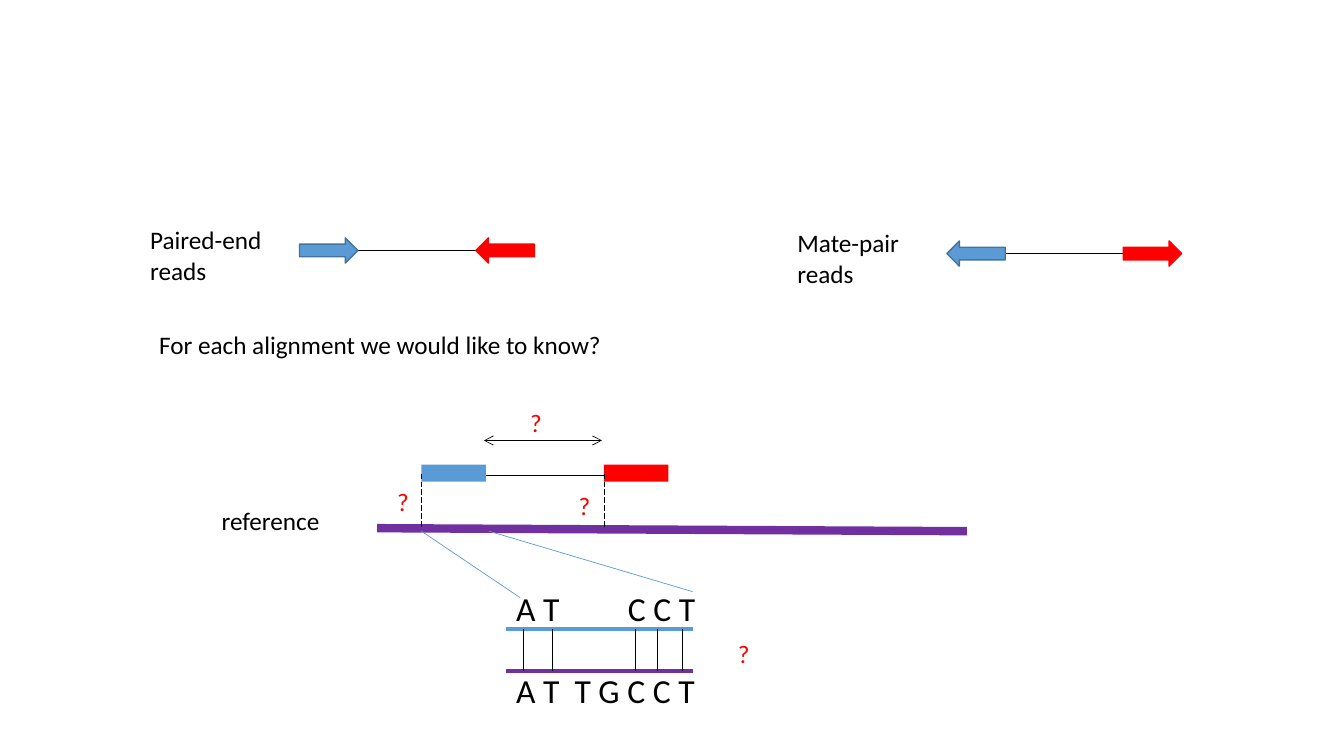
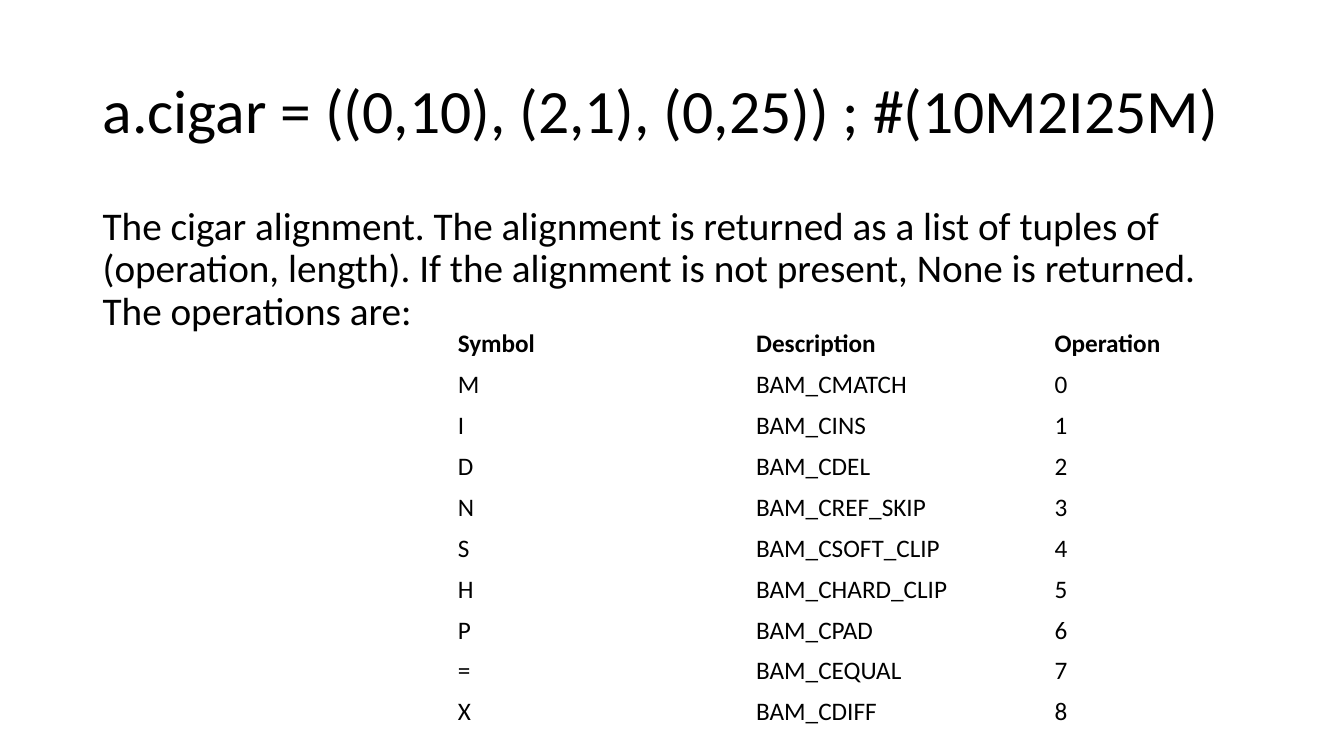
from lxml.etree import SubElement
from pptx import Presentation
from pptx.dml.color import RGBColor
from pptx.enum.dml import MSO_LINE
from pptx.enum.shapes import MSO_CONNECTOR, MSO_SHAPE
from pptx.enum.text import MSO_ANCHOR
from pptx.oxml.ns import qn
from pptx.util import Inches, Pt

FONT = "Calibri"
BLACK, WHITE = "000000", "FFFFFF"
BLUE, DARK_BLUE, RED, PURPLE = "5B9BD5", "43739E", "FF0000", "7030A0"


def rgb(value):
    return RGBColor.from_string(value)


def write(frame, text, size=18, color=BLACK, bold=False, spacing=1.0, anchor=MSO_ANCHOR.TOP, tab=None):
    """Fill a text frame; tab is the distance of one tab stop in inches."""
    frame.word_wrap = True
    frame.vertical_anchor = anchor
    paragraph = frame.paragraphs[0]
    paragraph.line_spacing = spacing
    run = paragraph.add_run()
    run.text = text
    run.font.name, run.font.size, run.font.bold = FONT, Pt(size), bold
    run.font.color.rgb = rgb(color)
    if tab:
        stops = SubElement(paragraph._p.get_or_add_pPr(), qn("a:tabLst"))
        SubElement(stops, qn("a:tab"), pos=str(Inches(tab)), algn="l")


class Deck:
    def __init__(self):
        self.presentation = Presentation()
        self.presentation.slide_width = Inches(13.33)
        self.presentation.slide_height = Inches(7.5)
        self.slide = None

    def new_slide(self):
        self.slide = self.presentation.slides.add_slide(self.presentation.slide_layouts[6])
        self.slide.background.fill.solid()
        self.slide.background.fill.fore_color.rgb = rgb(WHITE)

    def text(self, text, left, top, width, height, **style):
        box = self.slide.shapes.add_textbox(Inches(left), Inches(top), Inches(width), Inches(height))
        write(box.text_frame, text, **style)

    def question(self, left, top):
        self.text("?", left, top, 0.22, 0.4, color=RED)

    def shape(self, kind, left, top, width, height, fill, outline=None):
        shape = self.slide.shapes.add_shape(kind, Inches(left), Inches(top), Inches(width), Inches(height))
        shape.shadow.inherit = False
        shape.fill.solid()
        shape.fill.fore_color.rgb = rgb(fill)
        if outline:
            shape.line.color.rgb = rgb(outline)
            shape.line.width = Pt(1)
        else:
            shape.line.fill.background()

    def line(self, x1, y1, x2, y2, color=BLACK, width=0.5, dashed=False, arrows=False):
        line = self.slide.shapes.add_connector(
            MSO_CONNECTOR.STRAIGHT, Inches(x1), Inches(y1), Inches(x2), Inches(y2))
        line.line.color.rgb = rgb(color)
        line.line.width = Pt(width)
        if dashed:
            line.line.dash_style = MSO_LINE.LONG_DASH
        if arrows:
            outline = line.line._get_or_add_ln()
            for end in ("a:headEnd", "a:tailEnd"):
                SubElement(outline, qn(end), type="arrow")
        SubElement(line._element.spPr, qn("a:effectLst"))

    def table(self, rows, left, top, column_width, row_height):
        count = len(rows[0])
        table = self.slide.shapes.add_table(
            len(rows), count, Inches(left), Inches(top),
            Inches(column_width * count), Inches(row_height * len(rows))).table
        for r, row in enumerate(rows):
            for c, value in enumerate(row):
                cell = table.cell(r, c)
                cell.fill.background()
                write(cell.text_frame, value, bold=r == 0)

    def read_pair(self, label, left, top, outward=False):
        """Draw two reads joined by an insert, pointing inward or outward."""
        kinds = [MSO_SHAPE.RIGHT_ARROW, MSO_SHAPE.LEFT_ARROW]
        if outward:
            kinds.reverse()
        first, second = left + 1.58, left + 3.33
        self.line(first + 0.58, top + 0.3, second, top + 0.3)
        self.text(label, left, top, 1.42, 1.01)
        self.shape(kinds[0], first, top + 0.18, 0.58, 0.25, BLUE, DARK_BLUE)
        self.shape(kinds[1], second, top + 0.18, 0.58, 0.25, RED, RED)


def alignment_slide(deck):
    deck.new_slide()
    deck.read_pair("Paired-end reads", 1.39, 2.18)
    deck.read_pair("Mate-pair reads", 7.81, 2.21, outward=True)
    deck.text("For each alignment we would like to know?", 1.48, 3.22, 5.3, 0.4)

    # Aligned pair above the reference
    deck.text("reference", 2.1, 4.96, 1.65, 0.4)
    deck.line(3.74, 5.24, 9.59, 5.27, PURPLE, 6)
    deck.line(4.82, 4.72, 5.99, 4.72)
    for read_start, color in ((4.18, BLUE), (5.99, RED)):
        deck.shape(MSO_SHAPE.RECTANGLE, read_start, 4.61, 0.64, 0.17, color)
        deck.line(read_start, 4.7, read_start, 5.24, dashed=True)
    deck.line(4.8, 4.37, 5.97, 4.37, arrows=True)

    # Base-by-base view
    deck.line(4.18, 5.27, 5.16, 5.93, BLUE)
    deck.line(4.85, 5.27, 6.87, 5.87, BLUE)
    read_y, reference_y = 6.24, 6.66
    deck.text("A T\tC C T", 5.02, 5.78, 3, 0.5, size=24, tab=1.11)
    deck.text("A T\tT G C C T", 5.02, 6.6, 3, 0.5, size=24, tab=0.58)
    deck.line(5.02, read_y, 6.87, read_y, BLUE, 3)
    deck.line(5.02, reference_y, 6.87, reference_y, PURPLE, 3)
    for base_x in (5.19, 5.48, 6.3, 6.52, 6.77):
        deck.line(base_x, read_y, base_x, reference_y)

    for left, top in ((5.16, 3.99), (3.84, 4.78), (5.64, 4.82), (7.22, 6.28)):
        deck.question(left, top)


def cigar_slide(deck):
    deck.new_slide()
    deck.text("a.cigar = ((0,10), (2,1), (0,25)) ; #(10M2I25M)", 0.92, 0.4, 11.5, 1.45,
              size=44, spacing=0.9, anchor=MSO_ANCHOR.MIDDLE)
    deck.text("The cigar alignment. The alignment is returned as a list of tuples of "
              "(operation, length). If the alignment is not present, None is returned. "
              "The operations are:", 0.92, 2, 11.5, 4.76, size=28, spacing=0.9)
    names = ("MATCH", "INS", "DEL", "REF_SKIP", "SOFT_CLIP", "HARD_CLIP", "PAD", "EQUAL", "DIFF")
    operations = [(symbol, f"BAM_C{name}", str(code))
                  for code, (symbol, name) in enumerate(zip("MIDNSHP=X", names))]
    deck.table([("Symbol", "Description", "Operation")] + operations, 4.44, 3.21, 2.96, 0.406)


def main():
    deck = Deck()
    alignment_slide(deck)
    cigar_slide(deck)
    deck.presentation.save("out.pptx")


if __name__ == "__main__":
    main()
